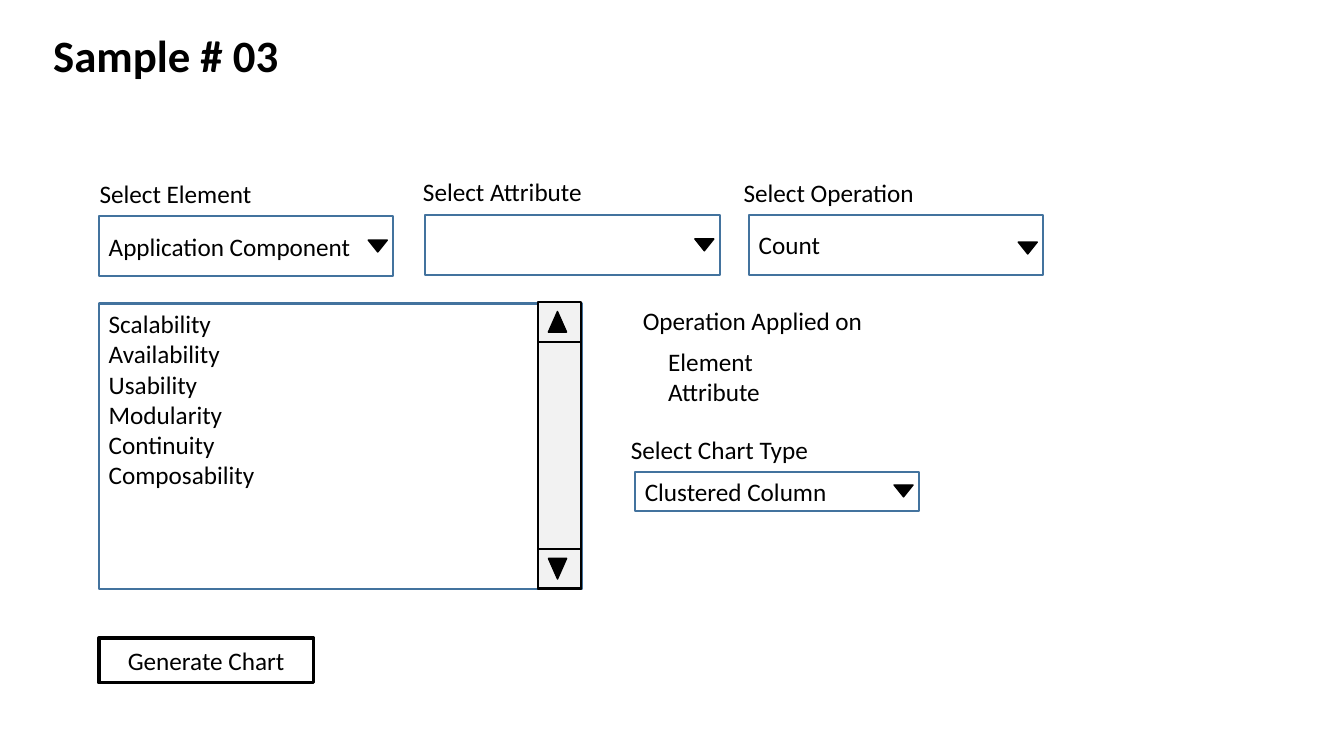
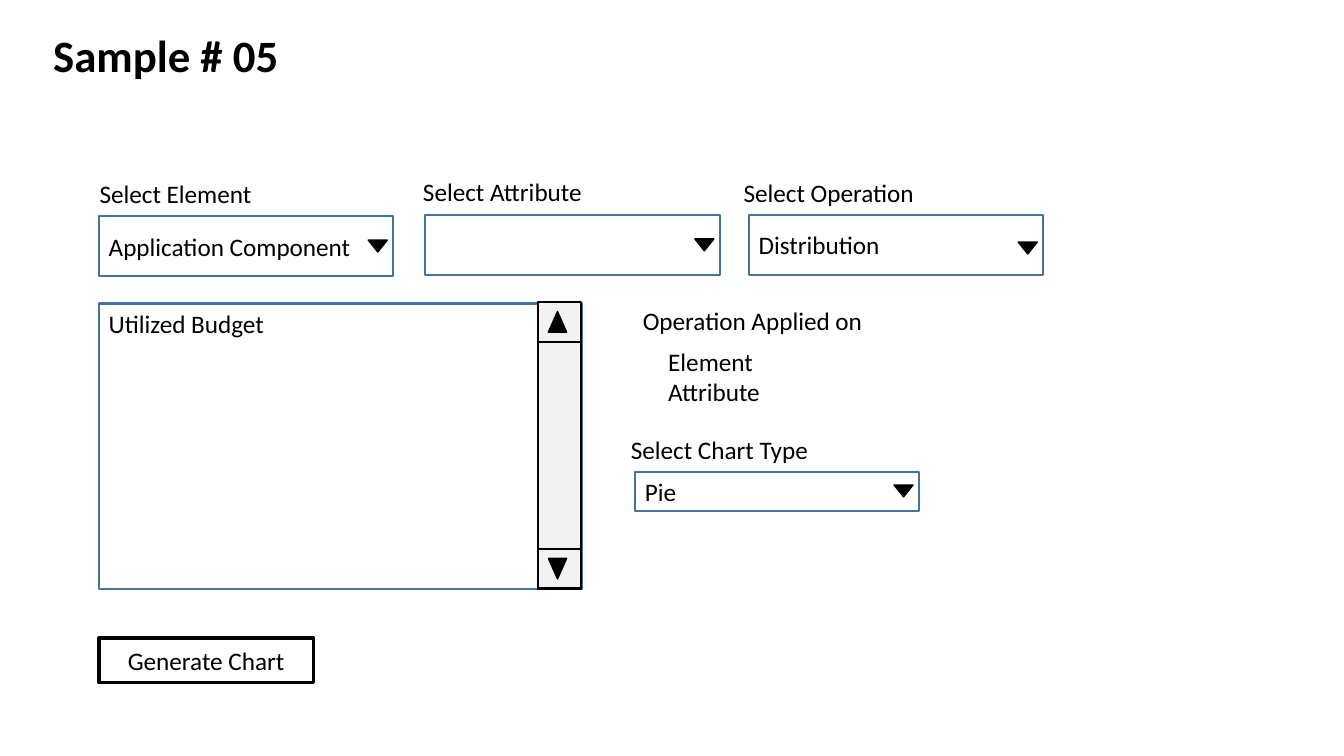
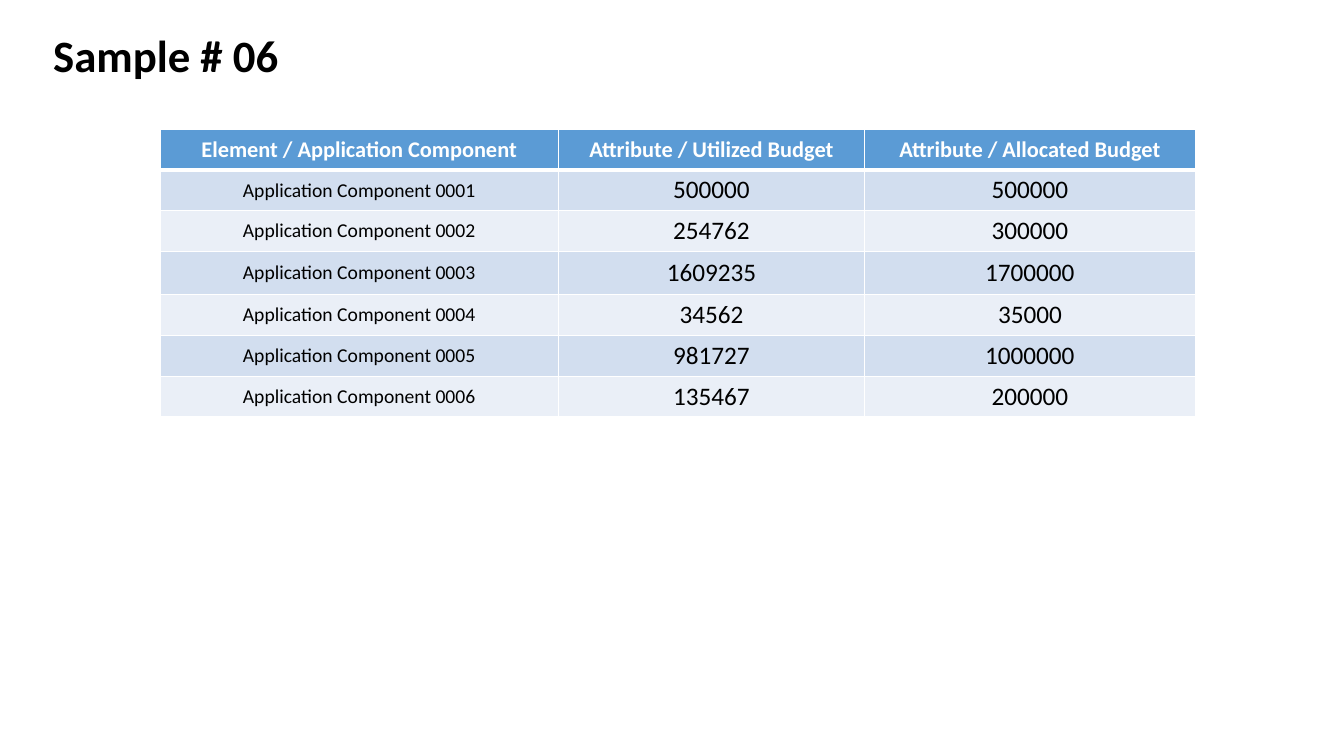
import pptx
import pptx.util
import pptx.dml.color
import pptx.enum.shapes
import pptx.enum.text
import pptx.oxml
import pptx.oxml.ns
import lxml.etree

Cm = pptx.util.Cm
Pt = pptx.util.Pt
RGB = pptx.dml.color.RGBColor.from_string
SHAPE = pptx.enum.shapes.MSO_SHAPE
ALIGN = pptx.enum.text.PP_ALIGN
ANCHOR = pptx.enum.text.MSO_ANCHOR

FONT = "Calibri"
HUES = {
    "ink": "000000",
    "edge": "43739E",
    "bar": "F2F2F2",
    "head": "5B9BD5",
    "odd": "D2DEEF",
    "even": "EAEFF7",
    "white": "FFFFFF",
}


def draw(home, kind, box, fill, line, width):
    """Add a preset shape; box is left, top, width, height in cm."""
    shape = home.add_shape(kind, *[Cm(n) for n in box])
    shape.shadow.inherit = False
    if fill:
        shape.fill.solid()
        shape.fill.fore_color.rgb = RGB(HUES[fill])
    else:
        shape.fill.background()
    shape.line.color.rgb = RGB(HUES[line])
    shape.line.width = Pt(width)
    return shape


def write(frame, text, size=18, bold=False, hue="ink", align=ALIGN.LEFT,
          anchor=ANCHOR.TOP):
    """Fill a text frame and format all its runs."""
    frame.text = text
    frame.word_wrap = True
    frame.vertical_anchor = anchor
    for para in frame.paragraphs:
        para.alignment = align
        for run in para.runs:
            run.font.name = FONT
            run.font.size = Pt(size)
            run.font.bold = bold
            run.font.color.rgb = RGB(HUES[hue])


deck = pptx.Presentation()
deck.slide_width = Cm(33.87)
deck.slide_height = Cm(19.05)

# Slides with their titles
pages = []
for title in ["Sample # 03", "Sample # 05", "Sample # 06"]:
    page = deck.slides.add_slide(deck.slide_layouts[6])
    box = page.shapes.add_textbox(Cm(1.09), Cm(0.58), Cm(15.57), Cm(1.63))
    write(box.text_frame, title, 32, True)
    pages.append(page)

# Drop-down lists: label, its left and top, the box, top of the arrow
drops = [
    ("Select Operation", 18.49, 4.34, (18.87, 5.41, 7.42, 1.52), 6.1),
    ("Select Element", 2.26, 4.37, (2.49, 5.44, 7.42, 1.52), 6.05),
    ("Select Attribute", 10.41, 4.32, (10.72, 5.41, 7.42, 1.52), 6.02),
    ("Select Chart Type", 15.65, 10.82, (16, 11.89, 7.16, 0.99), 12.22),
]

# Plain labels beside the list
notes = [
    ("Operation Applied on", (15.95, 7.57, 6.35, 1.02)),
    ("Element\nAttribute", (16.59, 8.59, 3.76, 1.8)),
]

# What each form shows: list items, then the choice in each drop-down
forms = [
    ("Scalability\nAvailability\nUsability\nModularity\nContinuity\nComposability",
     ["Count", "Application Component", "", "Clustered Column"]),
    ("Utilized Budget",
     ["Distribution", "Application Component", "", "Pie"]),
]

for page, (items, picks) in zip(pages, forms):
    # Button
    button = draw(page.shapes, SHAPE.RECTANGLE, (2.49, 16.08, 5.41, 1.12),
                  None, "ink", 2.5)
    write(button.text_frame, "Generate Chart", align=ALIGN.CENTER,
          anchor=ANCHOR.MIDDLE)

    # List with scroll bar
    group = page.shapes.add_group_shape().shapes
    area = draw(group, SHAPE.RECTANGLE, (2.49, 7.65, 12.17, 7.19),
                None, "edge", 1.5)
    write(area.text_frame, items)
    for top, high in [(7.65, 7.19), (13.84, 0.99), (7.62, 0.99)]:
        draw(group, SHAPE.RECTANGLE, (13.56, top, 1.09, high),
             "bar", "ink", 1.5)
    for top, turn in [(7.85, 0), (14.07, 180)]:
        arrow = draw(group, SHAPE.ISOSCELES_TRIANGLE,
                     (13.82, top, 0.46, 0.52), "ink", "ink", 1)
        arrow.rotation = turn

    # Drop-downs
    for (name, left, top, box, tip), pick in zip(drops, picks):
        group = page.shapes.add_group_shape().shapes
        field = draw(group, SHAPE.RECTANGLE, box, None, "edge", 1.5)
        write(field.text_frame, pick, anchor=ANCHOR.MIDDLE)
        label = group.add_textbox(Cm(left), Cm(top), Cm(7.16), Cm(1.03))
        write(label.text_frame, name)
        arrow = draw(group, SHAPE.ISOSCELES_TRIANGLE,
                     (box[0] + box[2] - 0.63, tip, 0.48, 0.3),
                     "ink", "ink", 1)
        arrow.rotation = 180

    # Labels
    for text, box in notes:
        label = page.shapes.add_textbox(*[Cm(n) for n in box])
        write(label.text_frame, text)

# Budget table
rows = [
    ("Element / Application Component", "Attribute / Utilized Budget",
     "Attribute / Allocated Budget"),
    ("Application Component 0001", "500000", "500000"),
    ("Application Component 0002", "254762", "300000"),
    ("Application Component 0003", "1609235", "1700000"),
    ("Application Component 0004", "34562", "35000"),
    ("Application Component 0005", "981727", "1000000"),
    ("Application Component 0006", "135467", "200000"),
]
wides = [10.03, 7.72, 8.33]
highs = [1.03, 1.03, 1.03, 1.08, 1.03, 1.03, 1.03]
table = pages[2].shapes.add_table(
    len(rows), len(wides), Cm(4.04), Cm(3.25),
    Cm(sum(wides)), Cm(sum(highs))).table
for col, wide in zip(table.columns, wides):
    col.width = Cm(wide)
for r, (row, high) in enumerate(zip(rows, highs)):
    table.rows[r].height = Cm(high)
    for c, text in enumerate(row):
        cell = table.cell(r, c)
        cell.vertical_anchor = ANCHOR.MIDDLE
        cell.fill.solid()
        if r == 0:
            tint, size, hue = "head", 16, "white"
        else:
            tint = "odd" if r % 2 else "even"
            size, hue = 18 if c else 14, "ink"
        cell.fill.fore_color.rgb = RGB(HUES[tint])
        write(cell.text_frame, text, size, r == 0, hue, ALIGN.CENTER)

        # White borders, thick below the header
        props = cell._tc.get_or_add_tcPr()
        for i, side in enumerate(["lnL", "lnR", "lnT", "lnB"]):
            thick = (r, side) in [(0, "lnB"), (1, "lnT")]
            line = lxml.etree.Element(pptx.oxml.ns.qn("a:" + side),
                                      w=str(Pt(3 if thick else 1)))
            solid = lxml.etree.SubElement(line, pptx.oxml.ns.qn("a:solidFill"))
            lxml.etree.SubElement(solid, pptx.oxml.ns.qn("a:srgbClr"),
                                  val=HUES["white"])
            props.insert(i, line)

deck.save("out.pptx")
